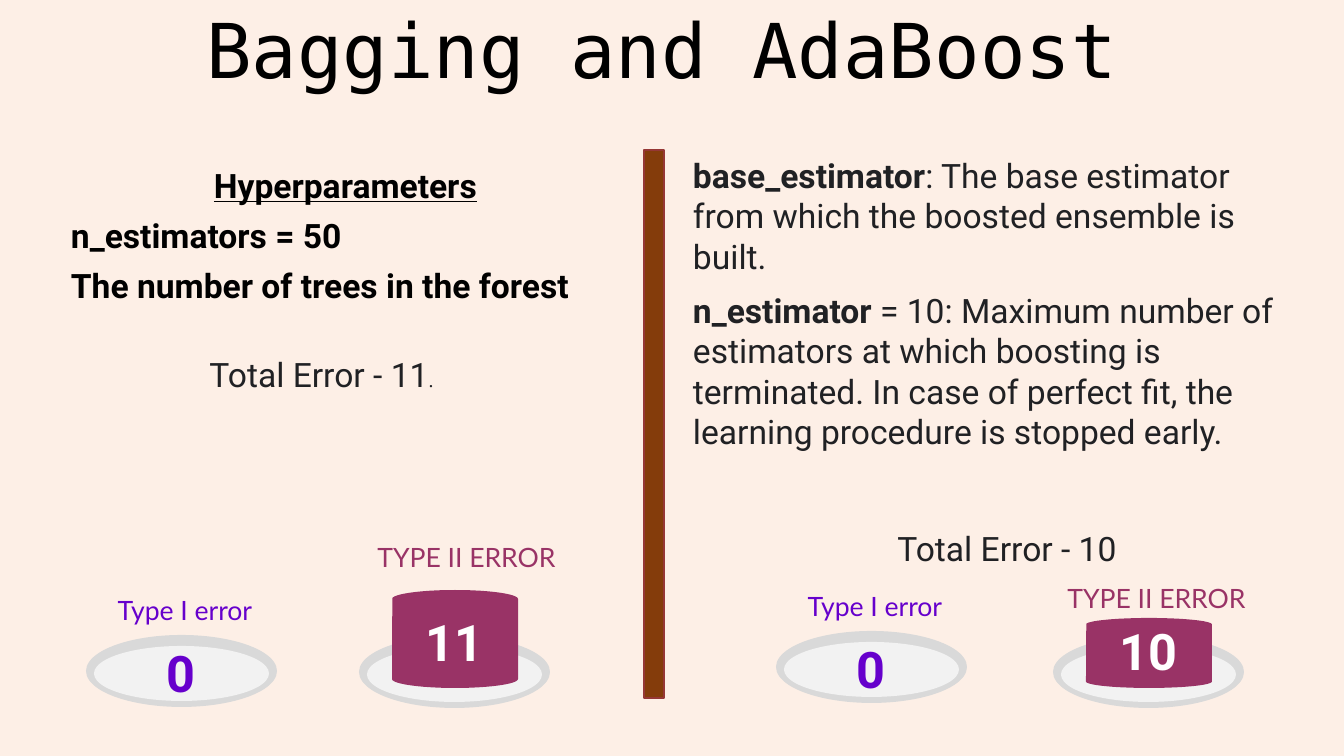
import math

from pptx import Presentation
from pptx import util as u
from pptx.dml import color
from pptx.enum import shapes, text

EMU_PER_PX = 12192000 / 1344
COLORS = {
    "background": "FDEFE6", "black": "000000", "white": "FFFFFF", "body": "202124",
    "divider": "843C0B", "divider_line": "953735", "ring": "D9D9D9", "plate": "F2F2F2",
    "type_one": "6600CC", "type_two": "993366",
}
CENTER = text.PP_ALIGN.CENTER
MIDDLE = text.MSO_ANCHOR.MIDDLE
BOTTOM = text.MSO_ANCHOR.BOTTOM


def px(length):
    return u.Emu(round(length * EMU_PER_PX))


def rgb(name):
    return color.RGBColor.from_string(COLORS[name])


class SlideBuilder:
    def __init__(self, presentation):
        self.slide = presentation.slides.add_slide(presentation.slide_layouts[5])
        fill = self.slide.background.fill
        fill.solid()
        fill.fore_color.rgb = rgb("background")

    def paint(self, shape, fill, line=None):
        shape.shadow.inherit = False
        shape.fill.solid()
        shape.fill.fore_color.rgb = rgb(fill)
        if line:
            shape.line.color.rgb = rgb(line)
            shape.line.width = u.Pt(1)
        else:
            shape.line.fill.background()

    def frame(self, shape, insets=(10, 5, 10, 5), anchor=text.MSO_ANCHOR.TOP):
        """Set wrapping, insets (left, top, right, bottom) and anchor."""
        frame = shape.text_frame
        frame.word_wrap = True
        frame.auto_size = text.MSO_AUTO_SIZE.NONE
        frame.vertical_anchor = anchor
        (frame.margin_left, frame.margin_top,
         frame.margin_right, frame.margin_bottom) = map(px, insets)
        return frame

    def paragraph(self, frame, runs, size=24, font="Roboto", ink="body", align=None,
                  spacing=1.0, before=0, after=0):
        """Add one paragraph; each run is its text and a dict of font settings."""
        first = frame.paragraphs[0]
        paragraph = frame.add_paragraph() if first.runs else first
        paragraph.alignment = align or text.PP_ALIGN.LEFT
        paragraph.line_spacing = spacing
        paragraph.space_before, paragraph.space_after = u.Pt(before), u.Pt(after)
        for words, settings in runs:
            run = paragraph.add_run()
            run.text = words
            run.font.color.rgb = rgb(ink)
            style = {"size": u.Pt(size), "name": font, "bold": False, **settings}
            for key, value in style.items():
                setattr(run.font, key, value)

    def title(self, words, box):
        shape = self.slide.shapes.title
        shape.left, shape.top, shape.width, shape.height = map(px, box)
        self.paragraph(self.frame(shape, anchor=MIDDLE), [(words, {})], 54,
                       "DejaVu Sans Mono", "black", CENTER, 0.9)

    def textbox(self, box, **layout):
        return self.frame(self.slide.shapes.add_textbox(*map(px, box)), **layout)

    def label(self, words, box, **style):
        frame = self.textbox(box, insets=(0, 0, 0, 0), anchor=MIDDLE)
        self.paragraph(frame, [(words, {"bold": style.pop("bold", False)})],
                       align=CENTER, **style)

    def preset(self, kind, box, fill, line=None):
        self.paint(self.slide.shapes.add_shape(kind, *map(px, box)), fill, line)

    def cylinder(self, left, top, width, height, rim):
        """Draw a flat cylinder whose curved ends are rim px deep."""
        middle, radius = left + width / 2, rim / 2
        points = []
        for step in range(0, 360, 6):
            angle = math.radians(step)
            center = top + radius if step > 180 else top + height - radius
            points.append((px(middle + width / 2 * math.cos(angle)),
                           px(center + radius * math.sin(angle))))
        points.append((px(left + width), px(top + radius)))
        builder = self.slide.shapes.build_freeform(*points[0], scale=1.0)
        builder.add_line_segments(points[1:], close=True)
        self.paint(builder.convert_to_shape(), "type_two")

    def plate(self, left, top):
        oval = shapes.MSO_SHAPE.OVAL
        self.preset(oval, (left, top, 191, 72), "ring")
        self.preset(oval, (left + 8, top + 11, 175, 55), "plate")

    def type_one_error(self, value, left, top):
        self.label("Type I error", (left + 3, top - 41, 192, 32),
                   size=19, font="Lato", ink="type_one")
        self.plate(left, top)
        self.label(value, (left + 62, top + 7, 67, 61),
                   size=36, ink="type_one", bold=True)

    def type_two_error(self, value, left, top, bar_height, rim, label_at, value_top):
        self.label("TYPE II ERROR", (*label_at, 191, 32),
                   size=19, font="Lato", ink="type_two")
        self.plate(left, top)
        self.cylinder(left + 33, top + 52 - bar_height, 126, bar_height, rim)
        self.label(value, (left + 66, value_top, 59, 61),
                   size=36, ink="white", bold=True)


def main():
    presentation = Presentation()
    presentation.slide_width, presentation.slide_height = px(1344), px(756)
    builder = SlideBuilder(presentation)
    bold = {"bold": True}

    builder.title("Bagging and AdaBoost", (82, 1, 1159, 107))

    bagging = builder.textbox((61, 130, 569, 217), insets=(10, 5, 10, 41), anchor=BOTTOM)
    for words, settings, align in (
        ("Hyperparameters", {"bold": True, "underline": True}, CENTER),
        ("n_estimators = 50", bold, None),
        ("The number of trees in the forest", bold, None),
    ):
        builder.paragraph(bagging, [(words, settings)], ink="black", align=align,
                          spacing=0.9, before=10)

    bagging_total = builder.textbox((0, 309, 643, 79))
    full_stop = {"size": u.Pt(14), "name": "Times New Roman"}
    builder.paragraph(bagging_total, [("Total Error - 11", {}), (".", full_stop)],
                      align=CENTER, spacing=2.0, after=10)
    builder.type_one_error("0", 86, 635)
    builder.type_two_error("11", 359, 636, 98, 18, (371, 541), 611)

    boosting_total = builder.textbox((721, 483, 572, 79))
    builder.paragraph(boosting_total, [("Total Error - 10", {})],
                      align=CENTER, spacing=2.0, before=10, after=10)
    builder.preset(shapes.MSO_SHAPE.RECTANGLE, (644, 150, 20, 548),
                   "divider", "divider_line")
    builder.type_one_error("0", 776, 631)
    builder.type_two_error("10", 1053, 636, 70, 13, (1061, 582), 620)

    boosting = builder.textbox((683, 150, 609, 309))
    for name, meaning in (
        ("base_estimator", ": The base estimator from which the boosted ensemble is built."),
        ("n_estimator", " = 10: Maximum number of estimators at which boosting is "
                        "terminated. In case of perfect fit, the learning procedure "
                        "is stopped early."),
    ):
        builder.paragraph(boosting, [(name, bold), (meaning, {})], after=10)

    presentation.save("out.pptx")


if __name__ == "__main__":
    main()
